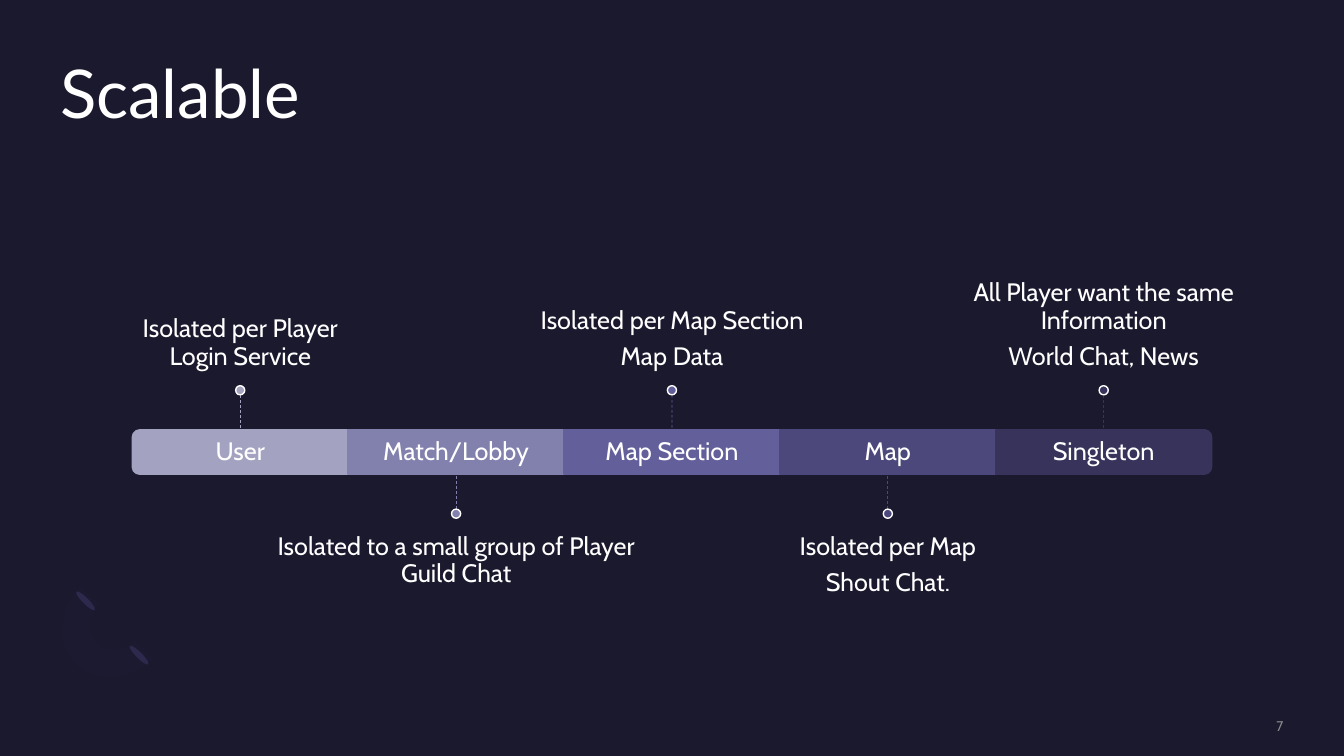
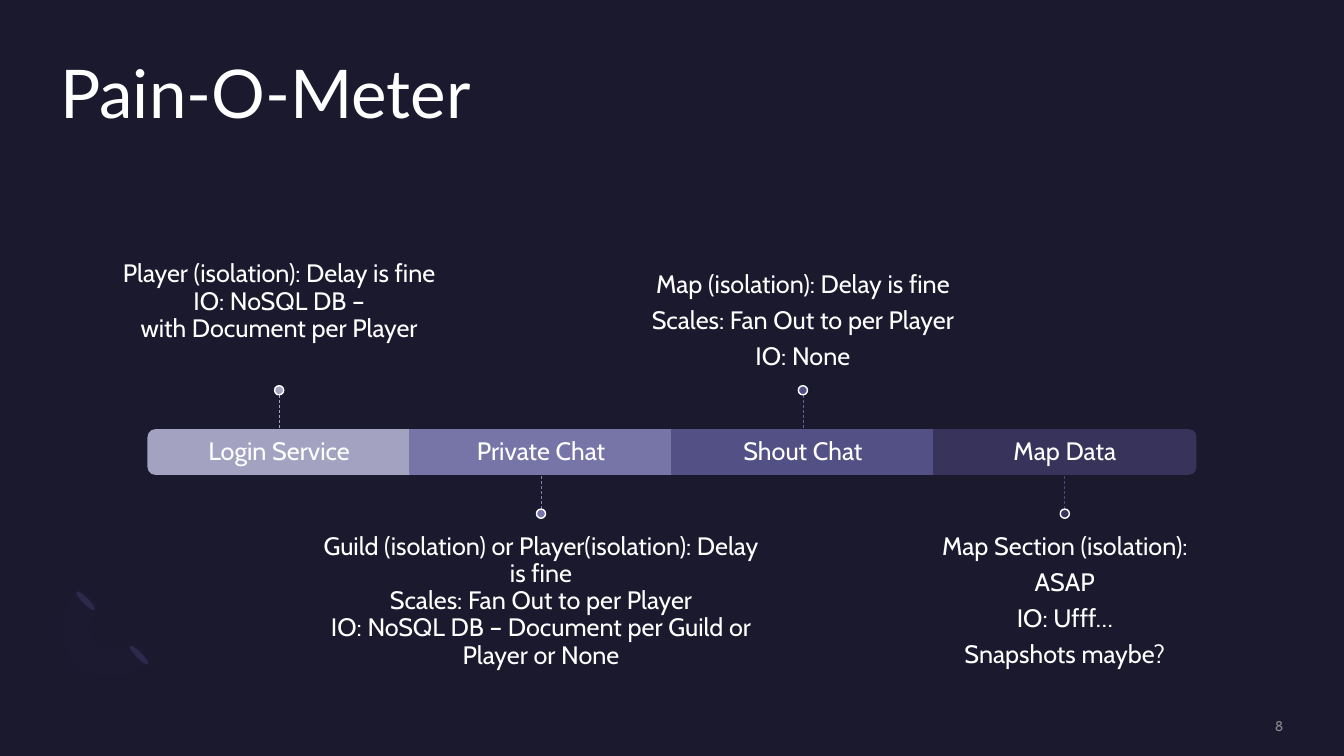
from dataclasses import dataclass
from math import cos, pi, sin

from lxml import etree
from pptx import Presentation
from pptx import util as u
from pptx.dml.color import RGBColor
from pptx.enum import dml, shapes, text
from pptx.oxml.ns import qn


@dataclass(frozen=True)
class Style:
    font: str
    size: float
    color: str
    align: text.PP_ALIGN
    anchor: text.MSO_ANCHOR
    line_spacing: float = 0.9
    space_after: float = 0


@dataclass(frozen=True)
class Theme:
    background: str = "1B192E"
    white: str = "FFFFFF"
    cap: str = "2C284A"
    ring: str = "7771B2"
    title: Style = Style("Lato", 48, "FFFFFF", text.PP_ALIGN.LEFT, text.MSO_ANCHOR.TOP)
    label: Style = Style("Cabin", 18, "FFFFFF", text.PP_ALIGN.CENTER, text.MSO_ANCHOR.MIDDLE, space_after=6.3)
    above: Style = Style("Cabin", 18, "FFFFFF", text.PP_ALIGN.CENTER, text.MSO_ANCHOR.BOTTOM, space_after=6.3)
    below: Style = Style("Cabin", 18, "FFFFFF", text.PP_ALIGN.CENTER, text.MSO_ANCHOR.TOP, space_after=6.3)
    number: Style = Style("Cabin", 10, "A6A6A6", text.PP_ALIGN.RIGHT, text.MSO_ANCHOR.MIDDLE, 1)


def write(box, paragraphs, style, top=0, bottom=0):
    frame = box.text_frame
    frame.word_wrap = True
    frame.vertical_anchor = style.anchor
    frame.margin_left = frame.margin_right = 0
    frame.margin_top, frame.margin_bottom = u.Cm(top), u.Cm(bottom)
    for index, content in enumerate(paragraphs):
        para = frame.add_paragraph() if index else frame.paragraphs[0]
        para.alignment = style.align
        para.line_spacing = style.line_spacing
        para.space_after = u.Pt(style.space_after)
        for row, line in enumerate(content.split("\n")):
            if row:
                para.add_line_break()
            span = para.add_run()
            span.text = line
            span.font.name = style.font
            span.font.size = u.Pt(style.size)
            span.font.color.rgb = RGBColor.from_string(style.color)


def set_opacity(shape, percent):
    for color in shape.element.iter(qn("a:srgbClr")):
        etree.SubElement(color, qn("a:alpha"), val=str(percent * 1000))


theme = Theme()
slide_width = 33.87
margin = 1.52
content_width = slide_width - 2 * margin
bar_top, bar_height = 10.83, 1.12
bar_bottom = bar_top + bar_height
stem, dot_size = 0.88, 0.23
callout_height, callout_gap = 3.86, 0.38

pages = [
    {
        "title": "Scalable",
        "number": "7",
        "pitch": 5.44,
        "steps": [
            ("User", "A3A3C1", "A3A3C1", ["Isolated per Player\nLogin Service"], 0),
            ("Match/Lobby", "8281AE", "8281AE", ["Isolated to a small group of Player\nGuild Chat"], 0),
            ("Map Section", "625F9A", "625F9A", ["Isolated per Map Section", "Map Data"], 0),
            ("Map", "4C487B", "4C487B", ["Isolated per Map", "Shout Chat."], 0),
            ("Singleton", "37335B", "37335B", ["All Player want the same Information", "World Chat, News"], 0),
        ],
    },
    {
        "title": "Pain-O-Meter",
        "number": "8",
        "pitch": 6.6,
        "steps": [
            ("Login Service", "A3A3C1", "A3A3C1",
             ["Player (isolation): Delay is fine\nIO: NoSQL DB –\nwith Document per Player"], 0.7),
            ("Private Chat", "7775A8", "8281AE",
             ["Guild (isolation) or Player(isolation): Delay is fine\nScales: Fan Out to per Player\n"
              "IO: NoSQL DB – Document per Guild or Player or None"], 0),
            ("Shout Chat", "535086", "625F9A",
             ["Map (isolation): Delay is fine", "Scales: Fan Out to per Player", "IO: None"], 0),
            ("Map Data", "37335B", "4C487B",
             ["Map Section (isolation):", "ASAP", "IO: Ufff…", "Snapshots maybe?"], 0),
        ],
    },
]

deck = Presentation()
deck.slide_width, deck.slide_height = u.Cm(slide_width), u.Cm(19.05)
backdrop = deck.slide_master.background.fill
backdrop.solid()
backdrop.fore_color.rgb = RGBColor.from_string(theme.background)

for content in pages:
    page = deck.slides.add_slide(deck.slide_layouts[6])

    for left, top in ((3.43, 16.18), (2.08, 14.81)):
        cap = page.shapes.add_shape(shapes.MSO_SHAPE.OVAL, u.Cm(left), u.Cm(top), u.Cm(0.15), u.Cm(0.66))
        cap.shadow.inherit = False
        cap.rotation = 135
        cap.fill.solid()
        cap.fill.fore_color.rgb = RGBColor.from_string(theme.cap)
        cap.line.fill.background()

    angles = [pi * step / 24 for step in range(25)]
    outline = [(2.43 + 1.28 * cos(angle), 15.47 + 1.47 * sin(angle)) for angle in angles]
    outline += [(2.43 + 0.65 * cos(angle), 15.47 + 0.74 * sin(angle)) for angle in reversed(angles)]
    points = [(u.Cm(x), u.Cm(y)) for x, y in outline]
    builder = page.shapes.build_freeform(*points[0])
    builder.add_line_segments(points[1:], close=True)
    ring = builder.convert_to_shape()
    ring.shadow.inherit = False
    ring.rotation = 45
    ring.fill.solid()
    ring.fill.fore_color.rgb = RGBColor.from_string(theme.ring)
    ring.line.fill.background()
    set_opacity(ring, 2)

    title = page.shapes.add_textbox(u.Cm(margin), u.Cm(margin), u.Cm(content_width), u.Cm(3.71))
    write(title, [content["title"]], theme.title)

    pitch = content["pitch"]
    steps = content["steps"]
    callout_width = pitch * 5 / 3
    bar_left = (slide_width - pitch * len(steps)) / 2

    for index, (name, fill, stem_color, notes, extra_inset) in enumerate(steps):
        left = bar_left + pitch * index
        center = left + pitch / 2
        is_end = index in (0, len(steps) - 1)
        is_above = index % 2 == 0

        label = page.shapes.add_shape(
            shapes.MSO_SHAPE.RECTANGLE, u.Cm(left), u.Cm(bar_top), u.Cm(pitch), u.Cm(bar_height))
        segment = label
        if is_end:
            label.fill.background()
            label.line.fill.background()
            segment = page.shapes.add_shape(
                shapes.MSO_SHAPE.ROUND_2_SAME_RECTANGLE,
                u.Cm(center - bar_height / 2), u.Cm(bar_top + bar_height / 2 - pitch / 2),
                u.Cm(bar_height), u.Cm(pitch))
            segment.rotation = 90 if index else 270
            label.element.addprevious(segment.element)
        label.shadow.inherit = segment.shadow.inherit = False
        segment.fill.solid()
        segment.fill.fore_color.rgb = segment.line.color.rgb = RGBColor.from_string(fill)
        segment.line.width = u.Pt(1)
        write(label, [name], theme.label)

        if is_above:
            stem_end, dot_top, side = bar_top - stem, bar_top - stem - dot_size, 0
            callout_top = dot_top - callout_height
        else:
            stem_end, dot_top, side = bar_bottom + stem, bar_bottom + stem, 2
            callout_top = dot_top + dot_size

        callout = page.shapes.add_textbox(
            u.Cm(center - callout_width / 2), u.Cm(callout_top), u.Cm(callout_width), u.Cm(callout_height))
        if is_above:
            write(callout, notes, theme.above, bottom=callout_gap + extra_inset)
        else:
            write(callout, notes, theme.below, top=callout_gap)

        connector = page.shapes.add_connector(
            shapes.MSO_CONNECTOR.STRAIGHT, u.Cm(center), u.Cm(stem_end), u.Cm(center), u.Cm(bar_top))
        connector.end_connect(label, side)
        connector.line.color.rgb = RGBColor.from_string(stem_color)
        connector.line.width = u.Pt(0.5)
        connector.line.dash_style = dml.MSO_LINE.DASH
        etree.SubElement(connector.element.spPr, qn("a:effectLst"))

        dot = page.shapes.add_shape(
            shapes.MSO_SHAPE.OVAL, u.Cm(center - dot_size / 2), u.Cm(dot_top), u.Cm(dot_size), u.Cm(dot_size))
        dot.shadow.inherit = False
        dot.fill.solid()
        dot.fill.fore_color.rgb = RGBColor.from_string(fill)
        dot.line.color.rgb = RGBColor.from_string(theme.white)
        dot.line.width = u.Pt(1)

    number = page.shapes.add_textbox(u.Cm(27.64), u.Cm(18.08), u.Cm(4.7), u.Cm(0.43))
    write(number, [content["number"]], theme.number)
    set_opacity(number, 80)

deck.save("out.pptx")
